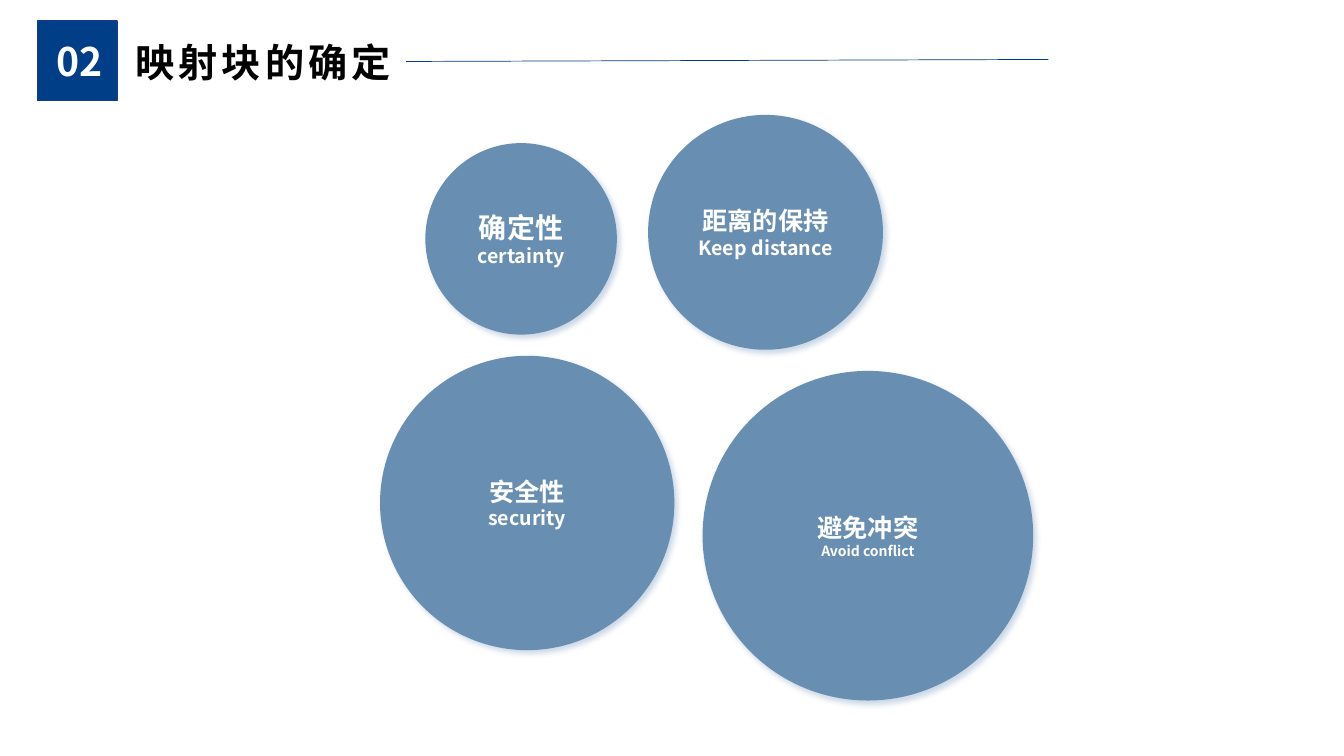
from pptx import Presentation
from pptx.dml.color import RGBColor
from pptx.enum import shapes, text
from pptx.oxml import parse_xml
from pptx.oxml import ns
from pptx.util import Pt

FONT = "Noto Sans CJK SC"
WHITE, BLACK, NAVY, STEEL = "FFFFFF", "000000", "003E87", "688EB2"
NUMBER, TITLE = "02", "映射块的确定"
CIRCLES = [
    ("确定性", "certainty", 20, 14, (303.84, 102.24, 136.8, 136.8)),
    ("距离的保持", "Keep distance", 18, 14, (462.96, 82.08, 167.76, 167.76)),
    ("安全性", "security", 18, 14, (271.44, 254.16, 210.24, 210.24)),
    ("避免冲突", "Avoid conflict", 18, 10, (501.84, 264.96, 236.16, 235.44)),
]
SHADOW = (
    f'<a:effectLst {ns.nsdecls("a")}>'
    f'<a:outerShdw blurRad="{Pt(4)}" dist="{Pt(3)}" dir="2700000" algn="tl" rotWithShape="0">'
    '<a:srgbClr val="003F88"><a:alpha val="20000"/></a:srgbClr>'
    '</a:outerShdw></a:effectLst>'
)


def color(value):
    return RGBColor.from_string(value)


def place(shape, area):
    shape.left, shape.top, shape.width, shape.height = map(Pt, area)


def add_shape(page, kind, area, fill):
    shape = page.shapes.add_shape(kind, *map(Pt, area))
    shape.fill.solid()
    shape.fill.fore_color.rgb = color(fill)
    shape.line.fill.background()
    shape.shadow.inherit = False
    return shape


def write(shape, lines, sizes, ink, align, wrap=True):
    frame = shape.text_frame
    frame.text = "\n".join(lines)
    frame.word_wrap = wrap
    frame.auto_size = text.MSO_AUTO_SIZE.NONE
    frame.vertical_anchor = text.MSO_ANCHOR.MIDDLE
    for para, size in zip(frame.paragraphs, sizes):
        para.alignment = align
        for span in para.runs:
            span.font.size = Pt(size)
            span.font.bold = True
            span.font.name = FONT
            span.font.color.rgb = color(ink)
            east_asian = parse_xml(f'<a:ea {ns.nsdecls("a")} typeface="{FONT}"/>')
            span.font._element.find(ns.qn("a:latin")).addnext(east_asian)


def add_header(page):
    square = add_shape(page, shapes.MSO_SHAPE.RECTANGLE, (26.64, 15.12, 56.88, 56.88), NAVY)
    square.line.color.rgb = color("0F3D8B")
    square.line.width = Pt(1)

    number = page.shapes.add_textbox(*map(Pt, (28.08, 23.04, 56.88, 41.04)))
    write(number, [NUMBER], [28], WHITE, text.PP_ALIGN.CENTER)

    title = page.shapes.title
    place(title, (89.28, 23.76, 200.16, 41.04))
    write(title, [TITLE], [28], BLACK, text.PP_ALIGN.LEFT, wrap=False)
    title.text_frame.paragraphs[0].runs[0].font._element.set("spc", "300")

    rule = page.shapes.add_connector(
        shapes.MSO_CONNECTOR.STRAIGHT, *map(Pt, (290.16, 43.92, 748.8, 42.48)))
    rule.line.color.rgb = color(NAVY)
    rule.line.width = Pt(0.5)
    rule._element.spPr.append(parse_xml(f'<a:effectLst {ns.nsdecls("a")}/>'))


def add_circles(page):
    for name, english, name_size, english_size, area in CIRCLES:
        circle = add_shape(page, shapes.MSO_SHAPE.OVAL, area, STEEL)
        properties = circle._element.spPr
        properties.replace(properties.find(ns.qn("a:effectLst")), parse_xml(SHADOW))
        write(circle, [name, english], [name_size, english_size], WHITE, text.PP_ALIGN.CENTER)


def main():
    deck = Presentation()
    deck.slide_width, deck.slide_height = Pt(960), Pt(540)
    page = deck.slides.add_slide(deck.slide_layouts[5])
    add_header(page)
    add_circles(page)
    deck.save("out.pptx")


if __name__ == "__main__":
    main()
